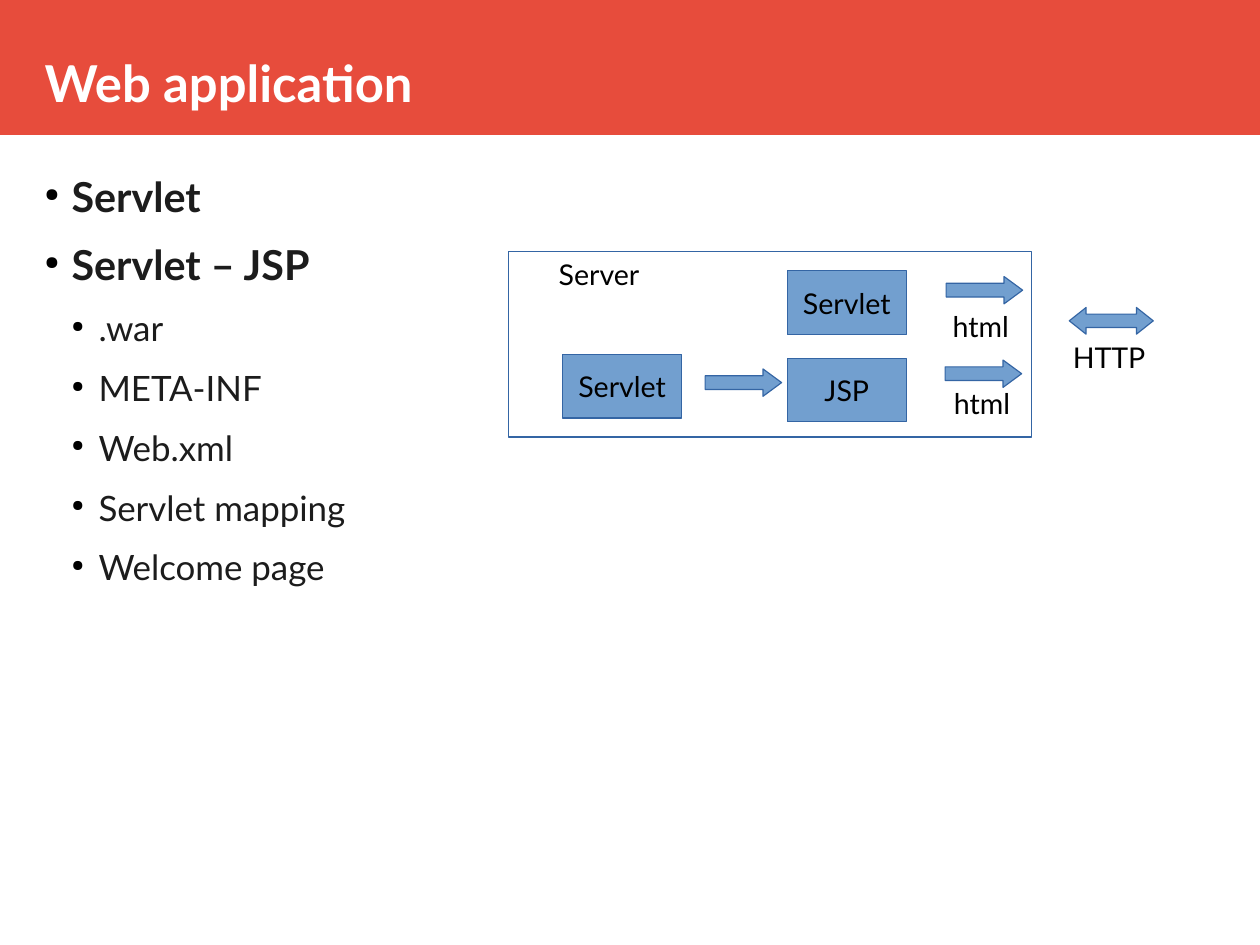
from dataclasses import dataclass

import lxml.etree
import pptx
import pptx.dml.color
import pptx.enum.shapes
import pptx.enum.text
import pptx.oxml.ns
import pptx.util

Pt = pptx.util.Pt
RGBColor = pptx.dml.color.RGBColor
SHAPE = pptx.enum.shapes.MSO_SHAPE
ALIGN = pptx.enum.text.PP_ALIGN
ANCHOR = pptx.enum.text.MSO_ANCHOR
AUTO_SIZE = pptx.enum.text.MSO_AUTO_SIZE
qn = pptx.oxml.ns.qn

FONT = "Lato"
RED = RGBColor(0xE7, 0x4C, 0x3C)
WHITE = RGBColor(0xFF, 0xFF, 0xFF)
BLACK = RGBColor(0, 0, 0)
INK = RGBColor(0x1C, 0x1C, 0x1C)
BLUE = RGBColor(0x72, 0x9F, 0xCF)
OUTLINE = RGBColor(0x34, 0x65, 0xA4)

SLIDE_W, SLIDE_H = 793.7, 595.28
MARGIN = 28.1
INDENT = 17
BOX_W, BOX_H = 75.2, 40.2
ARROW_W, ARROW_H = 48.2, 17.2


@dataclass
class Bullet:
    text: str
    level: int = 0


@dataclass
class Box:
    text: str
    x: float
    y: float


@dataclass
class Arrow:
    x: float
    y: float
    w: float = ARROW_W
    h: float = ARROW_H
    kind: int = SHAPE.RIGHT_ARROW
    head: float = 0.68


@dataclass
class Label:
    text: str
    x: float
    y: float
    w: float
    h: float
    align: int = ALIGN.LEFT


BULLETS = [
    Bullet("Servlet"),
    Bullet("Servlet – JSP"),
    Bullet(".war", 1),
    Bullet("META-INF", 1),
    Bullet("Web.xml", 1),
    Bullet("Servlet mapping", 1),
    Bullet("Welcome page", 1),
]
BOXES = [
    Box("Servlet", 495.8, 170.6),
    Box("Servlet", 354.3, 223.2),
    Box("JSP", 495.8, 225.6),
]
ARROWS = [
    Arrow(596, 174.2),
    Arrow(595.4, 226.8),
    Arrow(444.2, 232.4),
    Arrow(673.6, 193.7, 52.9, 16.8, SHAPE.LEFT_RIGHT_ARROW, 0.63),
]
LABELS = [
    Label("Server", 320.1, 158.6, 114.5, 31.7, ALIGN.CENTER),
    Label("HTTP", 668.7, 210.6, 62.6, 46.8),
    Label("html", 593, 190.8, 56.9, 46.8),
    Label("html", 593.8, 239.6, 52.6, 56.2),
]


def add_run(p, text: str, size: float, color: RGBColor, bold: bool = False) -> None:
    r = p.add_run()
    r.text = text
    r.font.name = FONT
    r.font.size = Pt(size)
    r.font.bold = bold
    r.font.color.rgb = color


def place(sp, x: float, y: float, w: float, h: float) -> None:
    sp.left, sp.top, sp.width, sp.height = Pt(x), Pt(y), Pt(w), Pt(h)


def clear_insets(tf) -> None:
    tf.auto_size = AUTO_SIZE.NONE
    tf.margin_left = tf.margin_top = tf.margin_right = tf.margin_bottom = 0


def add_bullet_mark(p, level: int) -> None:
    pPr = p._p.get_or_add_pPr()
    pPr.set("marL", str(Pt(INDENT * (level + 1))))
    pPr.set("indent", str(-Pt(INDENT)))
    color = lxml.etree.SubElement(pPr, qn("a:buClr"))
    lxml.etree.SubElement(color, qn("a:srgbClr"), val=str(BLACK))
    lxml.etree.SubElement(pPr, qn("a:buSzPct"), val="45000")
    lxml.etree.SubElement(pPr, qn("a:buFont"), typeface="OpenSymbol")
    lxml.etree.SubElement(pPr, qn("a:buChar"), char="●")


def add_outlined(s, kind: int, x: float, y: float, w: float, h: float,
                 fill: bool = True):
    sp = s.shapes.add_shape(kind, Pt(x), Pt(y), Pt(w), Pt(h))
    sp.shadow.inherit = False
    if fill:
        sp.fill.solid()
        sp.fill.fore_color.rgb = BLUE
    else:
        sp.fill.background()
    sp.line.color.rgb = OUTLINE
    sp.line.width = Pt(0)
    return sp


def add_box(s, box: Box) -> None:
    tf = add_outlined(s, SHAPE.RECTANGLE, box.x, box.y, BOX_W, BOX_H).text_frame
    tf.word_wrap = False
    tf.vertical_anchor = ANCHOR.MIDDLE
    p = tf.paragraphs[0]
    p.alignment = ALIGN.CENTER
    add_run(p, box.text, 18, BLACK)


def add_arrow(s, arrow: Arrow) -> None:
    sp = add_outlined(s, arrow.kind, arrow.x, arrow.y, arrow.w, arrow.h)
    sp.adjustments[0] = 0.5
    sp.adjustments[1] = arrow.head


def add_label(s, label: Label) -> None:
    sp = s.shapes.add_textbox(Pt(label.x), Pt(label.y), Pt(label.w), Pt(label.h))
    tf = sp.text_frame
    tf.word_wrap = True
    p = tf.paragraphs[0]
    p.alignment = label.align
    add_run(p, label.text, 18, BLACK)


def main() -> None:
    prs = pptx.Presentation()
    prs.slide_width, prs.slide_height = Pt(SLIDE_W), Pt(SLIDE_H)
    s = prs.slides.add_slide(prs.slide_layouts[1])
    title, body = s.placeholders

    # Title band, behind everything else
    band = s.shapes.add_shape(SHAPE.RECTANGLE, 0, 0, Pt(SLIDE_W), Pt(85))
    band.shadow.inherit = False
    band.fill.solid()
    band.fill.fore_color.rgb = RED
    band.line.fill.background()
    title._element.addprevious(band._element)

    # Title
    place(title, MARGIN, 0, 737.3, 70.9)
    tf = title.text_frame
    clear_insets(tf)
    tf.vertical_anchor = ANCHOR.BOTTOM
    p = tf.paragraphs[0]
    p.alignment = ALIGN.LEFT
    add_run(p, "Web application", 32, WHITE, bold=True)

    # Bullet list
    place(body, MARGIN, 108, 735.8, 459.4)
    tf = body.text_frame
    clear_insets(tf)
    for i, bullet in enumerate(BULLETS):
        p = tf.add_paragraph() if i else tf.paragraphs[0]
        top = bullet.level == 0
        p.level = bullet.level
        p.space_before = Pt(0)
        p.space_after = Pt(11.4 if top else 11.3)
        add_bullet_mark(p, bullet.level)
        add_run(p, bullet.text, 26 if top else 22, INK, bold=top)

    # Server diagram
    add_outlined(s, SHAPE.RECTANGLE, 320.1, 158.4, 329.6, 116.9, fill=False)
    for box in BOXES:
        add_box(s, box)
    for arrow in ARROWS:
        add_arrow(s, arrow)
    for label in LABELS:
        add_label(s, label)

    prs.save("out.pptx")


if __name__ == "__main__":
    main()
